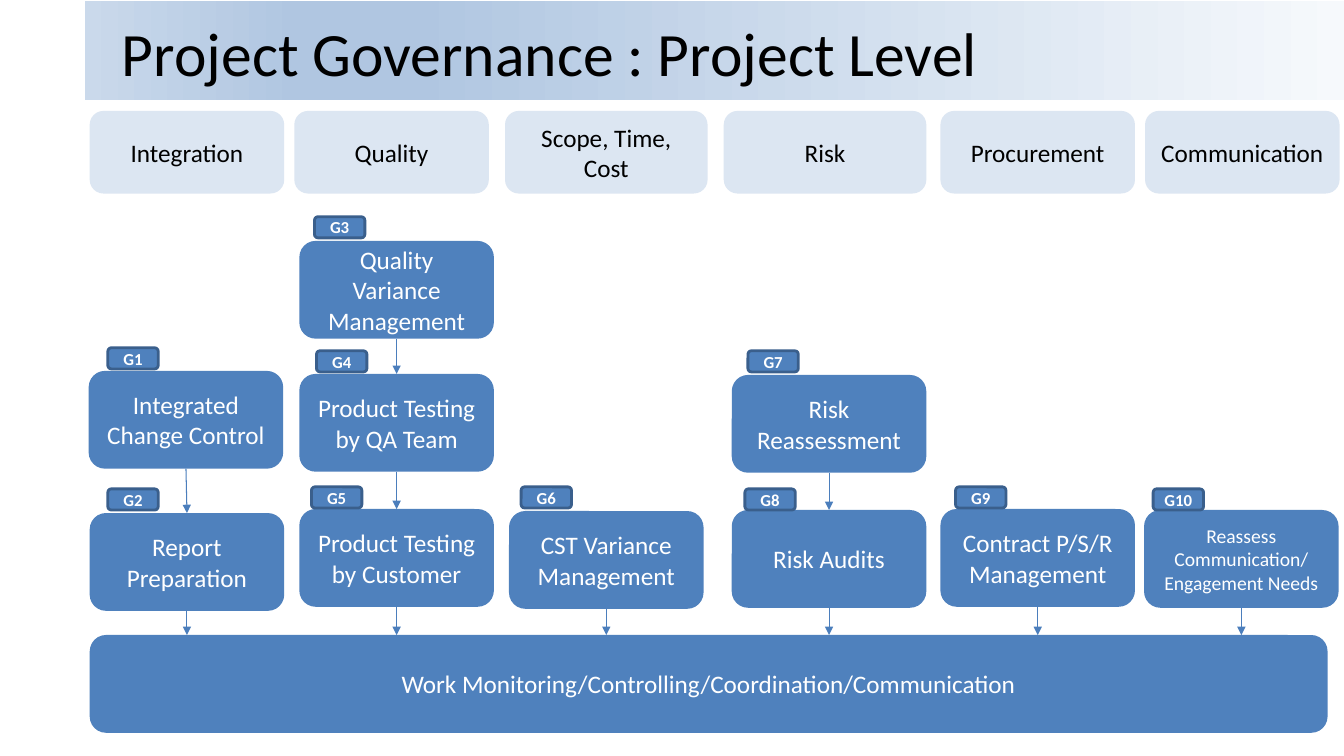
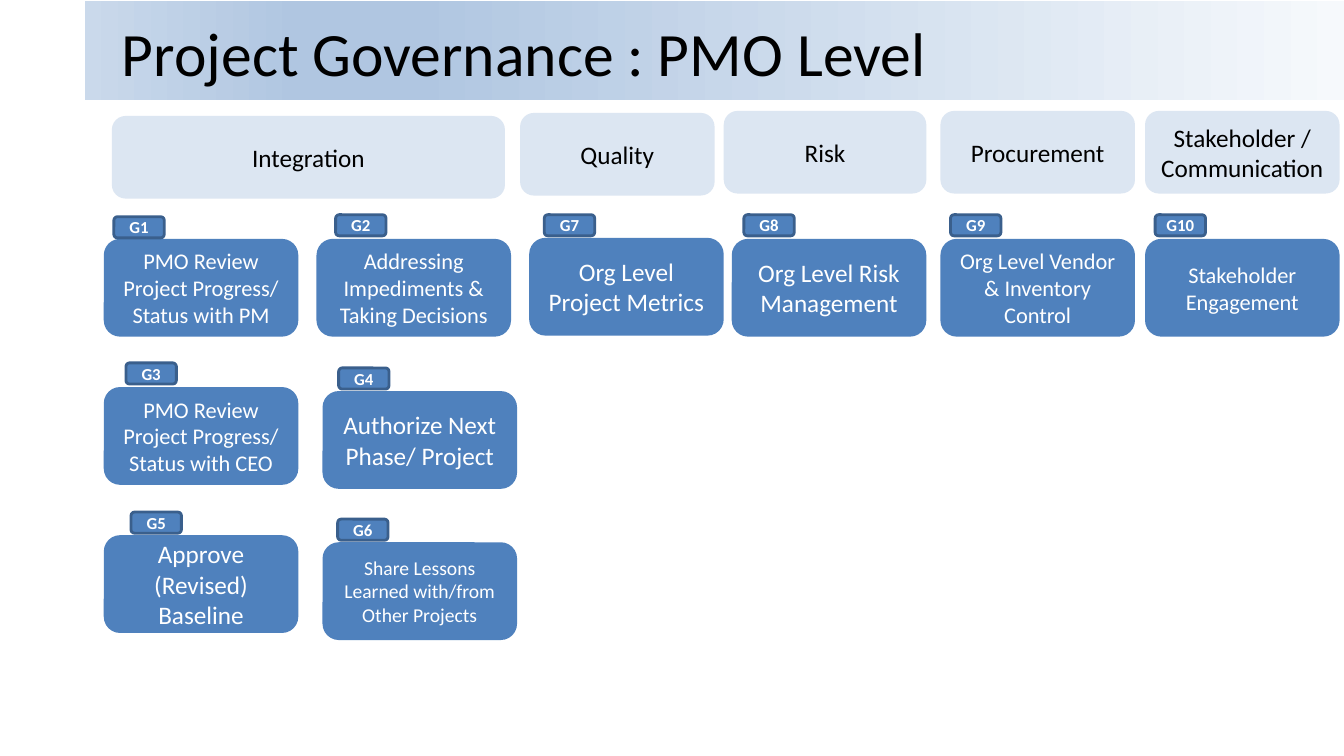
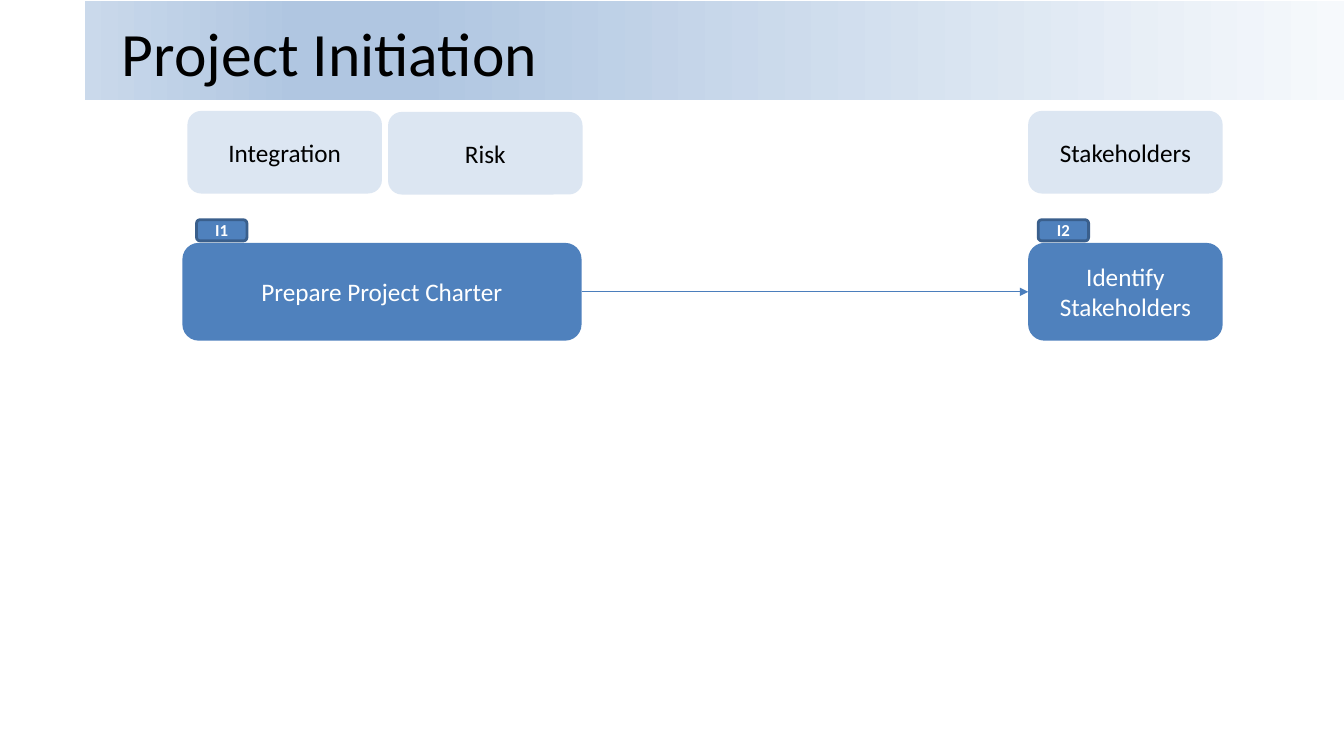
"""Draw three project governance charts on a grid of tenth-inch columns and rows."""
import dataclasses
import typing

import pptx
import pptx.dml.color
import pptx.enum.shapes
import pptx.enum.text
import pptx.oxml.ns
import pptx.util
from lxml import etree

WIDE, TALL = 133.33, 75
FONT = "Calibri"
BLUE, PALE, EDGE, WIRE = "4F81BD", "DCE6F2", "3A5F8C", "4B7EBC"
WHITE, BLACK = "FFFFFF", "000000"
FADE = [(0, "F6F9FC"), (74, "B0C6E1"), (83, "B0C6E1"), (100, "CAD9EB")]
STEP_W, STEP_H, HEAD_H, TAG_W, TAG_H = 19.3, 9.7, 8.2, 5, 2.1
BAR_TOP = 63
TOP, LEFT, BASE, RIGHT = 0, 1, 2, 3


@dataclasses.dataclass(frozen=True)
class Head:
    col: float
    text: str
    wide: float = STEP_W
    row: float = 11


@dataclasses.dataclass(frozen=True)
class Step:
    tag: str
    col: float
    row: float
    text: str
    shift: float
    rise: float
    size: int = 18
    wide: float = STEP_W


@dataclasses.dataclass(frozen=True)
class Link:
    start: str
    end: str
    out: int = BASE
    into: int = TOP


@dataclasses.dataclass(frozen=True)
class Page:
    title: str
    heads: list[Head]
    steps: list[Step]
    links: list[Link] = dataclasses.field(default_factory=list)
    drops: list[str] = dataclasses.field(default_factory=list)
    bar: str = ""


PAGES = [
    Page(
        "Project Governance : Project Level",
        [
            Head(8.9, "Integration"),
            Head(29.2, "Quality"),
            Head(50.1, "Scope, Time, Cost", 20.1),
            Head(71.8, "Risk", 20.1),
            Head(93.3, "Procurement"),
            Head(113.6, "Communication"),
        ],
        [
            Step("G1", 8.8, 36.8, "Integrated Change Control", 1.9, 2.3),
            Step("G2", 8.9, 50.9, "Report Preparation", 1.8, 2.4),
            Step("G3", 29.7, 23.9, "Quality Variance Management", 1.5, 2.4),
            Step("G4", 29.7, 37.1, "Product Testing by QA Team", 1.7, 2.3),
            Step("G5", 29.7, 50.5, "Product Testing by Customer", 1.2, 2.2),
            Step("G6", 50.5, 50.7, "CST Variance Management", 1.2, 2.4),
            Step("G7", 72.6, 37.2, "Risk Reassessment", 1.6, 2.4),
            Step("G8", 72.6, 50.6, "Risk Audits", 1.3, 2.1),
            Step("G9", 93.3, 50.5, "Contract P/S/R Management", 1.5, 2.2),
            Step("G10", 113.5, 50.6,
                 "Reassess Communication/\nEngagement Needs", 0.9, 2.1, 14),
        ],
        [Link("G1", "G2"), Link("G3", "G4"), Link("G4", "G5"), Link("G7", "G8")],
        ["G2", "G5", "G6", "G8", "G9", "G10"],
        "Work Monitoring/Controlling/Coordination/Communication",
    ),
    Page(
        "Project Governance : PMO Level",
        [
            Head(11.1, "Integration", 39, 11.5),
            Head(51.6, "Quality", row=11.2),
            Head(71.8, "Risk", 20.1),
            Head(93.3, "Procurement"),
            Head(113.6, "Stakeholder / Communication"),
        ],
        [
            Step("G1", 10.3, 23.7, "PMO Review Project Progress/ Status with PM", 1, 2.2, 16),
            Step("G2", 31.4, 23.7, "Addressing Impediments & Taking Decisions", 1.9, 2.4, 16),
            Step("G3", 10.3, 38.4, "PMO Review Project Progress/ Status with CEO", 2.2, 2.4, 16),
            Step("G4", 32, 38.8, "Authorize Next Phase/ Project", 1.6, 2.3),
            Step("G5", 10.3, 53.1, "Approve (Revised) Baseline", 2.7, 2.3),
            Step("G6", 32, 53.8, "Share Lessons Learned with/from Other Projects", 1.5, 2.3, 14),
            Step("G7", 52.5, 23.6, "Org Level Project Metrics", 1.5, 2.3),
            Step("G8", 72.6, 23.7, "Org Level Risk Management", 1.2, 2.4),
            Step("G9", 93.3, 23.7, "Org Level Vendor & Inventory Control", 1, 2.4, 16),
            Step("G10", 113.6, 23.7, "Stakeholder Engagement", 1, 2.4, 16),
        ],
    ),
    Page(
        "Project Initiation",
        [
            Head(18.6, "Integration"),
            Head(38.5, "Risk", row=11.1),
            Head(102, "Stakeholders"),
        ],
        [
            Step("I1", 18.1, 24.1, "Prepare Project Charter", 1.4, 2.3, wide=39.6),
            Step("I2", 102, 24.1, "Identify Stakeholders", 1, 2.3),
        ],
        [Link("I1", "I2", RIGHT, LEFT)],
    ),
]


def grid(count: float) -> pptx.util.Length:
    return pptx.util.Inches(count / 10)


def tint(code: str) -> pptx.dml.color.RGBColor:
    return pptx.dml.color.RGBColor.from_string(code)


def write(frame: typing.Any, text: str, size: int, ink: str, bold: bool = False,
          align: str = "CENTER") -> None:
    frame.word_wrap = True
    frame.vertical_anchor = pptx.enum.text.MSO_ANCHOR.MIDDLE
    for num, line in enumerate(text.split("\n")):
        para = frame.add_paragraph() if num else frame.paragraphs[0]
        para.alignment = pptx.enum.text.PP_ALIGN[align]
        run = para.add_run()
        run.text = line
        run.font.name = FONT
        run.font.size = pptx.util.Pt(size)
        run.font.bold = bold
        run.font.color.rgb = tint(ink)


def box(slide: typing.Any, col: float, row: float, wide: float, high: float,
        fill: str, kind: str = "ROUNDED_RECTANGLE") -> typing.Any:
    shape = slide.shapes.add_shape(pptx.enum.shapes.MSO_SHAPE[kind],
                                   grid(col), grid(row), grid(wide), grid(high))
    shape.shadow.inherit = False
    shape.fill.solid()
    shape.fill.fore_color.rgb = tint(fill)
    shape.line.fill.background()
    return shape


def tag(slide: typing.Any, step: Step) -> None:
    shape = box(slide, step.col + step.shift, step.row - step.rise, TAG_W, TAG_H, BLUE)
    shape.line.color.rgb = tint(EDGE)
    shape.line.width = pptx.util.Pt(2)
    frame = shape.text_frame
    frame.margin_left = frame.margin_right = 0
    write(frame, step.tag, 12, WHITE, True)


def arrow(slide: typing.Any, start: typing.Any, out: int,
          end: typing.Any = None, into: int = TOP) -> None:
    mid = start.left + start.width // 2
    wire = slide.shapes.add_connector(pptx.enum.shapes.MSO_CONNECTOR.STRAIGHT,
                                      mid, start.top + start.height, mid, grid(BAR_TOP))
    wire.begin_connect(start, out)
    if end is not None:
        wire.end_connect(end, into)
    wire.line.color.rgb = tint(WIRE)
    wire.line.width = pptx.util.Pt(0.75)
    name = pptx.oxml.ns.qn
    props = wire.element.spPr
    etree.SubElement(props.find(name("a:ln")), name("a:tailEnd"), type="triangle")
    etree.SubElement(props, name("a:effectLst"))


def band(slide: typing.Any, layout: typing.Any) -> None:
    shape = box(slide, 8.4, 0.1, WIDE - 8.4, 9.8, PALE, "RECTANGLE")
    shape.fill.gradient()
    shape.fill.gradient_angle = 180
    name = pptx.oxml.ns.qn
    stops = shape.element.spPr.find(".//" + name("a:gsLst"))
    for stop in list(stops):
        stops.remove(stop)
    for pos, code in FADE:
        stop = etree.SubElement(stops, name("a:gs"), pos=str(pos * 1000))
        etree.SubElement(stop, name("a:srgbClr"), val=code)
    shape.element.nvSpPr.cNvPr.set("id", "99")
    layout.shapes.element.insert(2, shape.element)


def draw(slide: typing.Any, page: Page) -> None:
    write(slide.shapes.title.text_frame, page.title, 44, BLACK, align="LEFT")
    for head in page.heads:
        shape = box(slide, head.col, head.row, head.wide, HEAD_H, PALE)
        write(shape.text_frame, head.text, 18, BLACK)
    if page.bar:
        shape = box(slide, 8.9, BAR_TOP, 122.8, STEP_H, BLUE)
        write(shape.text_frame, page.bar, 18, WHITE)
    made = {}
    for step in page.steps:
        shape = box(slide, step.col, step.row, step.wide, STEP_H, BLUE)
        write(shape.text_frame, step.text, step.size, WHITE)
        made[step.tag] = shape
    for link in page.links:
        arrow(slide, made[link.start], link.out, made[link.end], link.into)
    for drop in page.drops:
        arrow(slide, made[drop], BASE)
    for step in page.steps:
        tag(slide, step)


def main() -> None:
    deck = pptx.Presentation()
    deck.slide_width, deck.slide_height = grid(WIDE), grid(TALL)
    layout = deck.slide_layouts[5]
    title = layout.placeholders[0]
    title.left, title.top = grid(11.1), grid(0.6)
    title.width, title.height = grid(117.8), grid(9.1)
    for num, page in enumerate(PAGES):
        slide = deck.slides.add_slide(layout)
        if num == 0:
            band(slide, layout)
        draw(slide, page)
    deck.save("out.pptx")


if __name__ == "__main__":
    main()
